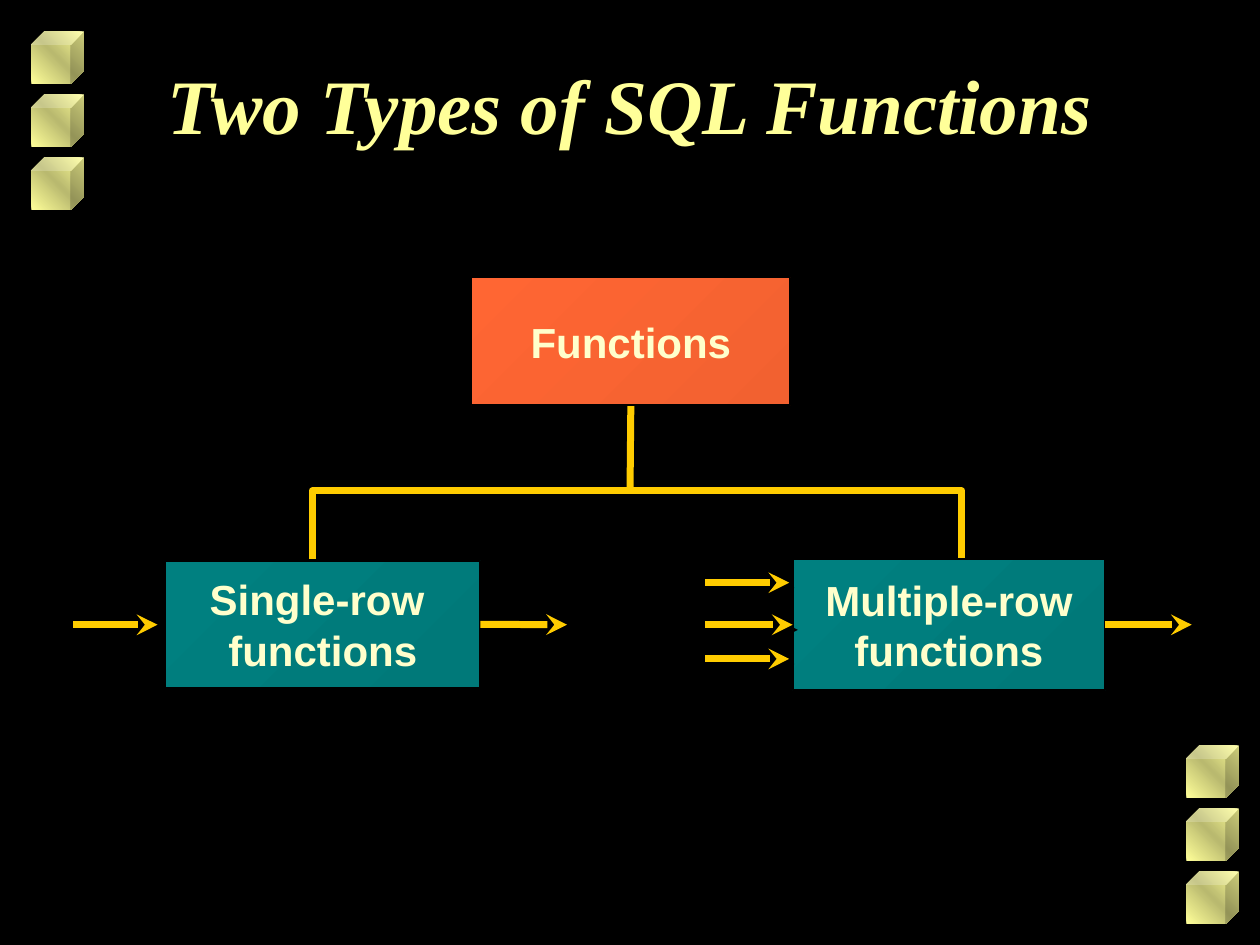
from copy import deepcopy
from dataclasses import dataclass
from typing import Any

from pptx import Presentation
from pptx import util as u
from pptx.dml.color import RGBColor
from pptx.enum import shapes as sh, text as tx
from pptx.oxml import parse_xml
from pptx.oxml.ns import nsdecls, qn


@dataclass(frozen=True)
class Theme:
    back: str = "000000"
    edge: str = "000000"
    gold: str = "FFCC00"
    cream: str = "FFFFCC"
    lemon: str = "FFFF99"
    cube: tuple = ("FFFF99", "B9B96F", "FFFF99")
    coral: tuple = ("FF6633", "F26130")
    teal: tuple = ("008080", "007979")
    head: float = 44
    body: float = 24
    wire: float = 4


@dataclass(frozen=True)
class Box:
    lines: tuple
    left: float
    top: float
    width: float
    height: float
    fill: tuple


@dataclass(frozen=True)
class Arrow:
    left: float
    y: float
    start: str = ""
    end: str = ""


T = Theme()
STEP, SIDE, REACH = 36, 30, 48
STACKS = ((18, 18), (678, 426))
BOXES = {
    "root": Box(("Functions",), 269.5, 158.5, 182, 73, T.coral),
    "single": Box(("Single-row ", "functions"), 94.5, 320.5, 180, 72.5, T.teal),
    "multi": Box(("Multiple-row", "functions"), 453, 319.5, 178.5, 75, T.teal),
}
ARROWS = (
    Arrow(42, 357),
    Arrow(276, 357, start="single"),
    Arrow(403, 357, end="multi"),
    Arrow(633, 357, start="multi"),
    Arrow(403, 333),
    Arrow(403, 376.5),
)
FORK = ((178.5, 319.5), (178.5, 280.5), (549.5, 280.5), (549.5, 322.5))
HEAD = {"name": "Times New Roman", "size": u.Pt(T.head), "bold": True, "italic": True}
BODY = {"name": "Arial", "size": u.Pt(T.body), "bold": True}


def pts(*vals: float) -> list:
    return [u.Pt(v) for v in vals]


def rgb(code: str) -> RGBColor:
    return RGBColor.from_string(code)


def apply(obj: Any, form: dict) -> None:
    for key, val in form.items():
        setattr(obj, key, val)


def write(shape: Any, lines: tuple, form: dict, tint: str, frame: dict) -> None:
    body = shape.text_frame
    apply(body, {"word_wrap": True, **frame})
    for i, line in enumerate(lines):
        para = body.paragraphs[0] if i == 0 else body.add_paragraph()
        para.alignment = tx.PP_ALIGN.CENTER
        run = para.add_run()
        run.text = line
        apply(run.font, form)
        run.font.color.rgb = rgb(tint)


def blend(shape: Any, tints: tuple, angle: float) -> None:
    shape.fill.gradient()
    shape.fill.gradient_angle = angle
    stops = shape.element.spPr.find(qn("a:gradFill")).find(qn("a:gsLst"))
    for _ in tints[2:]:
        stops.append(deepcopy(stops[-1]))
    for i, (stop, tint) in enumerate(zip(shape.fill.gradient_stops, tints)):
        stop.color.rgb = rgb(tint)
        stop.position = i / (len(tints) - 1)


def wire(shape: Any, tip: str = "") -> None:
    shape.line.color.rgb = rgb(T.gold)
    shape.line.width = u.Pt(T.wire)
    props = shape.element.spPr
    edge = props.find(qn("a:ln"))
    edge.append(parse_xml(f"<a:round {nsdecls('a')}/>"))
    if tip:
        edge.append(parse_xml(f'<a:tailEnd {nsdecls("a")} type="{tip}"/>'))
    props.append(parse_xml(
        f'<a:effectLst {nsdecls("a")}><a:outerShdw dist="{u.Pt(4.2)}" dir="2700000">'
        f'<a:srgbClr val="{T.edge}"/></a:outerShdw></a:effectLst>'))


def add_cube(slide: Any, left: float, top: float) -> None:
    cube = slide.shapes.add_shape(sh.MSO_SHAPE.CUBE, *pts(left, top, SIDE, SIDE))
    cube.shadow.inherit = False
    cube.line.fill.background()
    blend(cube, T.cube, 45)


def add_box(slide: Any, box: Box) -> Any:
    rect = slide.shapes.add_shape(
        sh.MSO_SHAPE.RECTANGLE, *pts(box.left, box.top, box.width, box.height))
    rect.shadow.inherit = False
    blend(rect, box.fill, 315)
    rect.line.color.rgb = rgb(T.edge)
    rect.line.width = u.Pt(1)
    write(rect, box.lines, BODY, T.cream, {"vertical_anchor": tx.MSO_ANCHOR.MIDDLE})
    return rect


def add_line(slide: Any, ends: tuple, tip: str = "") -> Any:
    line = slide.shapes.add_connector(sh.MSO_CONNECTOR.STRAIGHT, *pts(*ends))
    wire(line, tip)
    return line


def add_fork(slide: Any) -> None:
    first, *rest = [tuple(pts(*spot)) for spot in FORK]
    path = slide.shapes.build_freeform(*first)
    path.add_line_segments(rest, close=False)
    fork = path.convert_to_shape()
    fork.fill.background()
    wire(fork)


def main() -> None:
    deck = Presentation()
    deck.slide_width, deck.slide_height = pts(720, 540)
    slide = deck.slides.add_slide(deck.slide_layouts[6])
    slide.background.fill.solid()
    slide.background.fill.fore_color.rgb = rgb(T.back)

    for left, top in STACKS:
        for i in range(3):
            add_cube(slide, left, top + i * STEP)

    stem = add_line(slide, (360, 282, 360, 231.5))
    add_fork(slide)
    title = slide.shapes.add_textbox(*pts(54, 24, 612, 90))
    write(title, ("Two Types of SQL Functions",), HEAD, T.lemon, {"margin_top": u.Pt(9)})

    rects = {key: add_box(slide, box) for key, box in BOXES.items()}
    stem.end_connect(rects["root"], 2)
    for arrow in ARROWS:
        line = add_line(
            slide, (arrow.left, arrow.y, arrow.left + REACH, arrow.y), "stealth")
        if arrow.start:
            line.begin_connect(rects[arrow.start], 3)
        if arrow.end:
            line.end_connect(rects[arrow.end], 1)

    deck.save("out.pptx")


if __name__ == "__main__":
    main()
